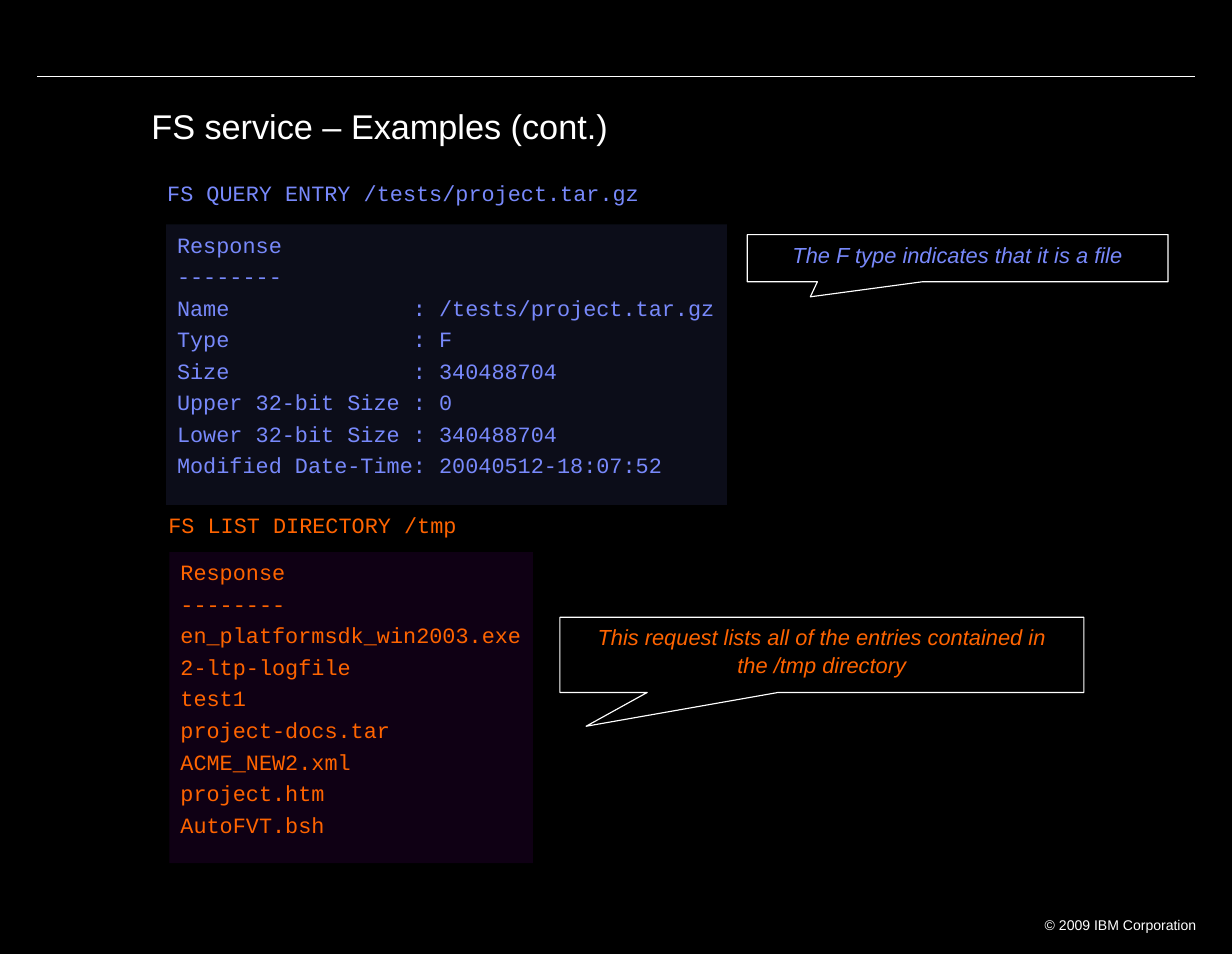
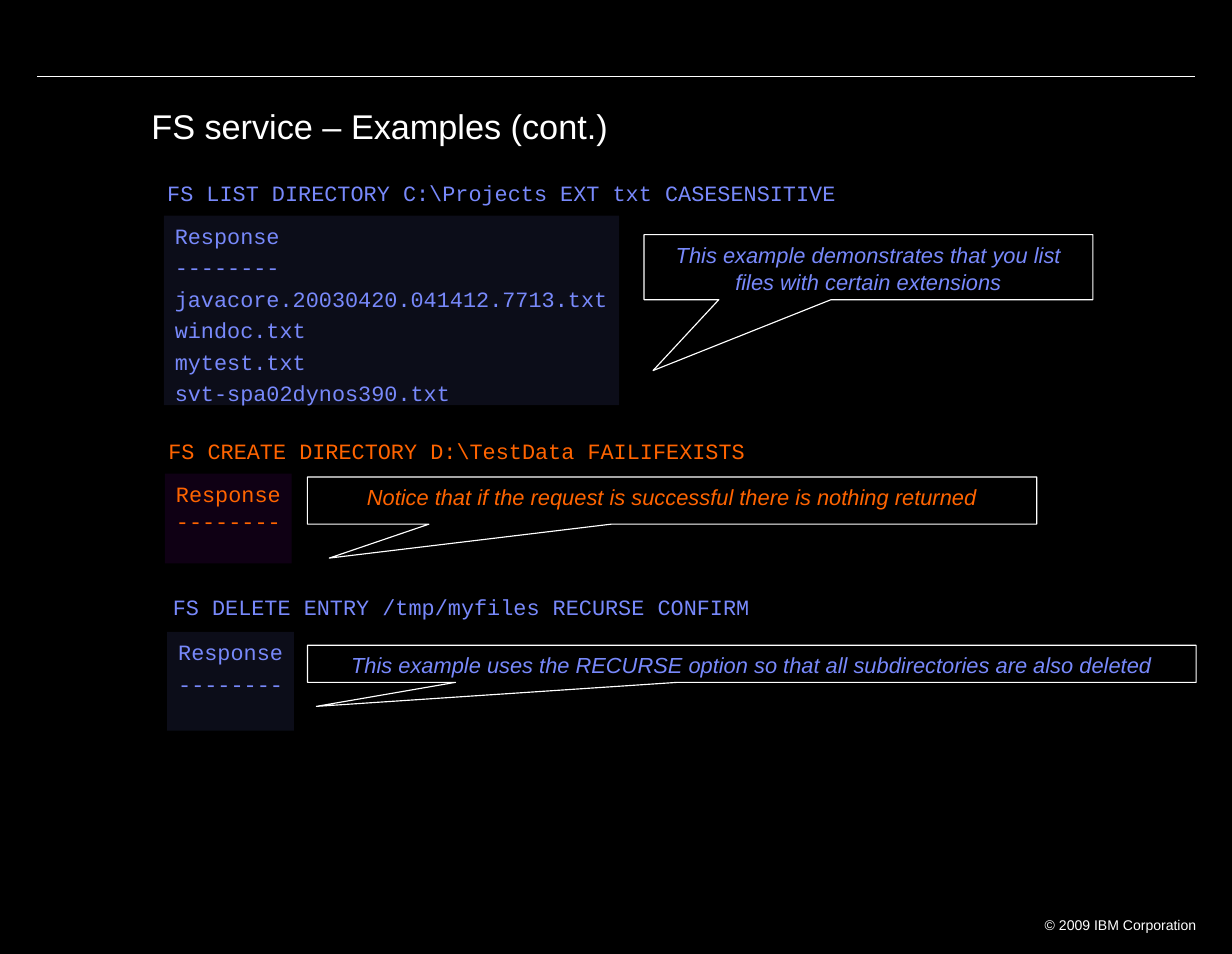
"""Build two slides of FS service examples: commands, responses and callouts."""
from lxml import etree
from pptx import Presentation
from pptx.dml.color import RGBColor
from pptx.enum.shapes import MSO_CONNECTOR, MSO_SHAPE
from pptx.enum.text import MSO_ANCHOR, PP_ALIGN as ALIGN
from pptx.oxml.ns import qn
from pptx.util import Inches, Pt

BLACK, WHITE = "000000", "FFFFFF"
BLUE = {"text": "7889FB", "panel": "7889FB"}
ORANGE = {"text": "FF6400", "panel": "9900CC"}
SANS, MONO = "Arial", "Courier New"
TITLE = "FS service – Examples (cont.)"
HEADING = ["Response", "--------"]

fields = [
    ("Name", "/tests/project.tar.gz"),
    ("Type", "F"),
    ("Size", "340488704"),
    ("Upper 32-bit Size", "0"),
    ("Lower 32-bit Size", "340488704"),
    ("Modified Date-Time", "20040512-18:07:52"),
]
entry_lines = [f"{name:<18}: {value}" for name, value in fields]

slides = [
    [
        dict(theme=BLUE, command="FS QUERY ENTRY /tests/project.tar.gz",
             command_at=(1.49, 1.59), lines=entry_lines, panel=(1.48, 2, 5, 2.5), gap=2.6,
             note="The F type indicates that it is a file",
             callout=(6.66, 2.09, 3.75, 0.42), tip=(-0.35, 0.82)),
        dict(theme=ORANGE, command="FS LIST DIRECTORY /tmp", command_at=(1.5, 4.55),
             lines=["en_platformsdk_win2003.exe", "2-ltp-logfile", "test1", "project-docs.tar",
                    "ACME_NEW2.xml", "project.htm", "AutoFVT.bsh"],
             panel=(1.51, 4.92, 3.24, 2.77), gap=2.6,
             note="This request lists all of the entries contained in the /tmp directory",
             callout=(4.99, 5.5, 4.67, 0.67), tip=(-0.45, 0.95)),
    ],
    [
        dict(theme=BLUE, command=r"FS LIST DIRECTORY C:\Projects EXT txt CASESENSITIVE",
             command_at=(1.49, 1.59),
             lines=["javacore.20030420.041412.7713.txt", "windoc.txt", "mytest.txt",
                    "svt-spa02dynos390.txt"],
             panel=(1.46, 1.92, 4.06, 1.69), gap=2.6,
             note="This example demonstrates that you list files with certain extensions",
             callout=(5.74, 2.09, 4, 0.58), tip=(-0.48, 1.59)),
        dict(theme=ORANGE, command=r"FS CREATE DIRECTORY D:\TestData FAILIFEXISTS",
             command_at=(1.5, 3.89), lines=[], panel=(1.47, 4.22, 1.13, 0.8), gap=0,
             note="Notice that if the request is successful there is nothing returned",
             callout=(2.74, 4.25, 6.5, 0.42), tip=(-0.47, 1.22)),
        dict(theme=BLUE, command="FS DELETE ENTRY /tmp/myfiles RECURSE CONFIRM",
             command_at=(1.54, 5.28), lines=[], panel=(1.49, 5.63, 1.13, 0.88), gap=2.6,
             note="This example uses the RECURSE option so that all subdirectories are also deleted",
             callout=(2.74, 5.75, 7.92, 0.33), tip=(-0.49, 1.15)),
    ],
]


def rgb(value):
    return RGBColor.from_string(value)


def write(shape, text, size=14, font=MONO, color=WHITE, italic=False, align=ALIGN.LEFT,
          inset=(0.1, 0.05), wrap=True, gap=0, spacing=1.05):
    frame = shape.text_frame
    frame.word_wrap = wrap
    frame.vertical_anchor = MSO_ANCHOR.TOP
    frame.margin_left = frame.margin_right = Inches(inset[0])
    frame.margin_top = frame.margin_bottom = Inches(inset[1])
    frame.text = text
    for paragraph in frame.paragraphs:
        paragraph.alignment = align
        paragraph.line_spacing = spacing
        paragraph.space_after = Pt(gap)
        paragraph.font.size = Pt(size)
        paragraph.font.name = font
        paragraph.font.italic = italic
        paragraph.font.color.rgb = rgb(color)


presentation = Presentation()
presentation.slide_width = Inches(10.98)
presentation.slide_height = Inches(8.5)
background = presentation.slide_master.background.fill
background.solid()
background.fore_color.rgb = rgb(BLACK)

for examples in slides:
    slide = presentation.slides.add_slide(presentation.slide_layouts[6])
    shapes = slide.shapes

    rule = shapes.add_connector(MSO_CONNECTOR.STRAIGHT, Inches(0.33), Inches(0.68),
                                Inches(10.65), Inches(0.68))
    rule.line.color.rgb = rgb(WHITE)
    rule.line.width = Pt(0.75)
    etree.SubElement(rule._element.spPr, qn("a:effectLst"))

    title = shapes.add_textbox(Inches(1.24), Inches(0.92), Inches(9.7), Inches(0.62))
    write(title, TITLE, size=22, font=SANS, inset=(0.11, 0.06), spacing=0.9)
    footer = shapes.add_textbox(Inches(9.02), Inches(8.11), Inches(1.75), Inches(0.23))
    write(footer, "© 2009 IBM Corporation", size=9, font=SANS, align=ALIGN.RIGHT,
          inset=(0.11, 0.06), spacing=1)

    for example in examples:
        theme = example["theme"]
        left, top = example["command_at"]
        command = shapes.add_textbox(Inches(left), Inches(top), Inches(9), Inches(0.25))
        write(command, example["command"], color=theme["text"], inset=(0, 0))

        panel = shapes.add_shape(MSO_SHAPE.RECTANGLE, *map(Inches, example["panel"]))
        panel.shadow.inherit = False
        panel.line.fill.background()
        panel.fill.solid()
        panel.fill.fore_color.rgb = rgb(theme["panel"])
        tint = panel._element.spPr.find(qn("a:solidFill"))[0]
        etree.SubElement(tint, qn("a:alpha"), val="10000")
        write(panel, "\n".join(HEADING + example["lines"]), color=theme["text"],
              wrap=False, gap=example["gap"])

        callout = shapes.add_shape(MSO_SHAPE.RECTANGULAR_CALLOUT,
                                   *map(Inches, example["callout"]))
        callout.shadow.inherit = False
        callout.adjustments[0], callout.adjustments[1] = example["tip"]
        callout.fill.solid()
        callout.fill.fore_color.rgb = rgb(BLACK)
        callout.line.color.rgb = rgb(WHITE)
        callout.line.width = Pt(0.75)
        write(callout, example["note"], font=SANS, color=theme["text"], italic=True,
              align=ALIGN.CENTER)

presentation.save("out.pptx")
